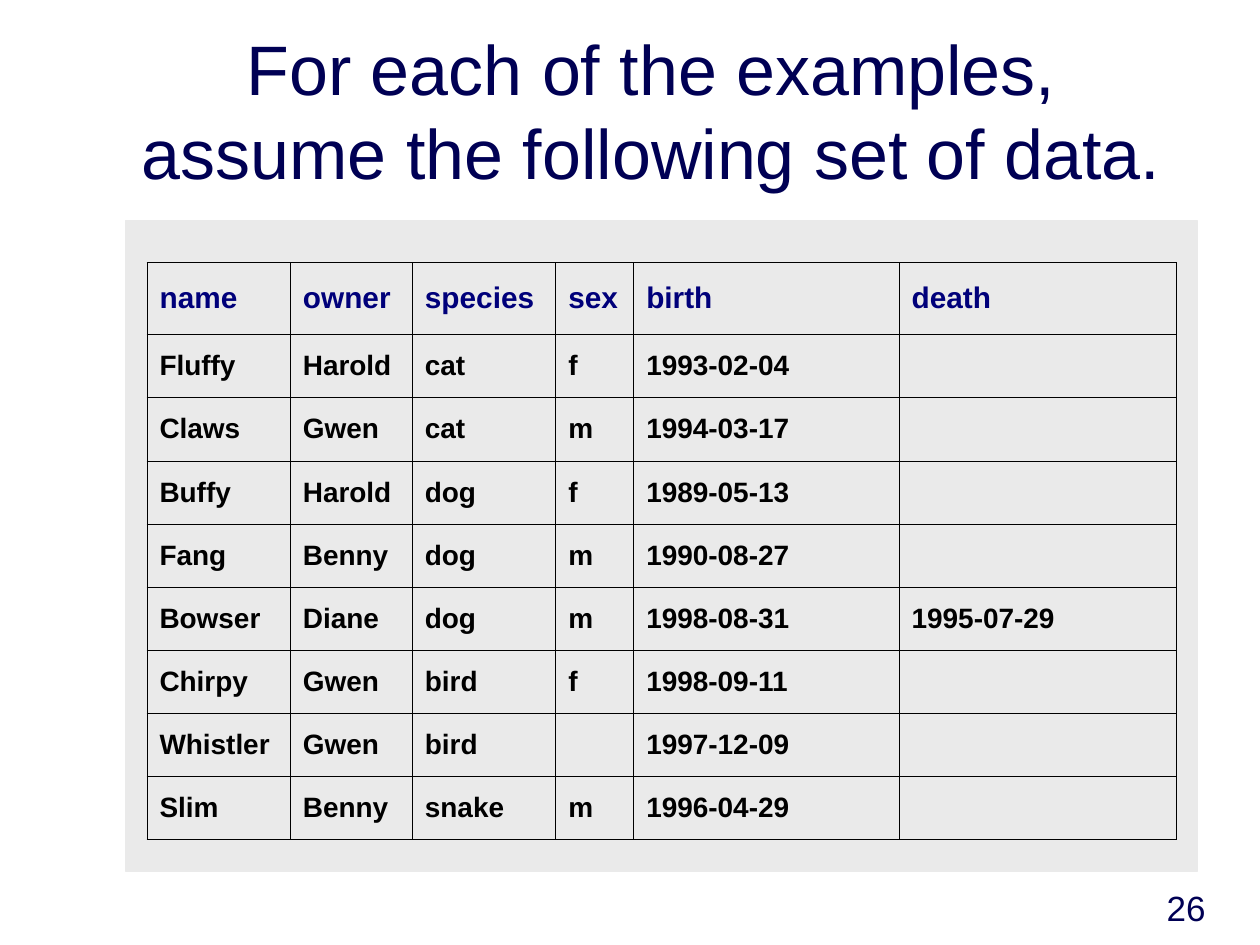
import pptx
import pptx.dml.color
import pptx.enum.shapes
import pptx.enum.text
import pptx.oxml
import pptx.oxml.ns
import pptx.util

NAVY = pptx.dml.color.RGBColor(0x00, 0x00, 0x54)
HEADER_BLUE = pptx.dml.color.RGBColor(0x00, 0x00, 0x7A)
BLACK = pptx.dml.color.RGBColor(0x00, 0x00, 0x00)
PANEL_GREY = pptx.dml.color.RGBColor(0xEA, 0xEA, 0xEA)

SLIDE_WIDTH = pptx.util.Inches(10)
SLIDE_HEIGHT = pptx.util.Inches(7.5)
GRID_COLUMNS, GRID_ROWS = 120, 90

TITLE = "For each of the examples, assume the following set of data."
PAGE_NUMBER = "26"
PETS = [
    ("name", "owner", "species", "sex", "birth", "death"),
    ("Fluffy", "Harold", "cat", "f", "1993-02-04", ""),
    ("Claws", "Gwen", "cat", "m", "1994-03-17", ""),
    ("Buffy", "Harold", "dog", "f", "1989-05-13", ""),
    ("Fang", "Benny", "dog", "m", "1990-08-27", ""),
    ("Bowser", "Diane", "dog", "m", "1998-08-31", "1995-07-29"),
    ("Chirpy", "Gwen", "bird", "f", "1998-09-11", ""),
    ("Whistler", "Gwen", "bird", "", "1997-12-09", ""),
    ("Slim", "Benny", "snake", "m", "1996-04-29", ""),
]
COLUMN_WEIGHTS = (1.14, 0.97, 1.14, 0.62, 2.11, 2.2)
ROW_WEIGHTS = (0.57,) + (0.5,) * (len(PETS) - 1)

TITLE_FORMAT = {"size": pptx.util.Pt(40), "name": "Arial"}
NUMBER_FORMAT = {"size": pptx.util.Pt(20), "name": "Arial"}
HEADER_FORMAT = {"size": pptx.util.Pt(17), "name": "Arial", "bold": True}
RECORD_FORMAT = {"size": pptx.util.Pt(16), "name": "Arial", "bold": True}


def grid_box(column, row, columns, rows):
    """Turn grid columns and rows into left, top, width and height."""
    across, down = SLIDE_WIDTH / GRID_COLUMNS, SLIDE_HEIGHT / GRID_ROWS
    return tuple(round(length) for length in (column * across, row * down, columns * across, rows * down))


def set_values(target, values):
    """Set each named value on the target."""
    for attribute, value in values.items():
        setattr(target, attribute, value)


def write(paragraph, words, font_values, color):
    """Add one formatted run to a paragraph."""
    run = paragraph.add_run()
    run.text = words
    set_values(run.font, font_values)
    run.font.color.rgb = color


def add_caption(slide, box, words, font_values, alignment):
    """Place bottom-anchored navy text in the box."""
    frame = slide.shapes.add_textbox(*box).text_frame
    set_values(frame, {"word_wrap": True, "vertical_anchor": pptx.enum.text.MSO_ANCHOR.BOTTOM})
    frame.paragraphs[0].alignment = alignment
    write(frame.paragraphs[0], words, font_values, NAVY)


def add_panel(slide, box):
    """Place the grey panel behind the table."""
    panel = slide.shapes.add_shape(pptx.enum.shapes.MSO_SHAPE.RECTANGLE, *box)
    panel.shadow.inherit = False
    panel.fill.solid()
    panel.fill.fore_color.rgb = PANEL_GREY
    panel.line.color.rgb = PANEL_GREY
    panel.line.width = pptx.util.Pt(0.75)


def add_borders(cell):
    """Draw a thin black line on every side of a cell."""
    properties = cell._tc.get_or_add_tcPr()
    for position, side in enumerate(("lnL", "lnR", "lnT", "lnB")):
        border = pptx.oxml.parse_xml(
            f'<a:{side} {pptx.oxml.ns.nsdecls("a")} w="{pptx.util.Pt(0.34)}">'
            f'<a:solidFill><a:srgbClr val="{BLACK}"/></a:solidFill></a:{side}>'
        )
        properties.insert(position, border)


def add_pet_table(slide, box):
    """Place the pet records so that they fill the box."""
    pets = slide.shapes.add_table(len(PETS), len(COLUMN_WEIGHTS), *box).table
    set_values(pets, {"first_row": False, "horz_banding": False})
    for column, weight in zip(pets.columns, COLUMN_WEIGHTS):
        column.width = round(box[2] * weight / sum(COLUMN_WEIGHTS))
    for row, weight in zip(pets.rows, ROW_WEIGHTS):
        row.height = round(box[3] * weight / sum(ROW_WEIGHTS))
    for row_index, record in enumerate(PETS):
        style = (RECORD_FORMAT, BLACK) if row_index else (HEADER_FORMAT, HEADER_BLUE)
        for column_index, entry in enumerate(record):
            cell = pets.cell(row_index, column_index)
            cell.vertical_anchor = pptx.enum.text.MSO_ANCHOR.MIDDLE
            cell.fill.background()
            add_borders(cell)
            if entry:
                write(cell.text_frame.paragraphs[0], entry, *style)


def build_slide(presentation):
    """Lay out the sample data slide."""
    slide = presentation.slides.add_slide(presentation.slide_layouts[6])
    align = pptx.enum.text.PP_ALIGN
    add_caption(slide, grid_box(91, 83, 25, 6), PAGE_NUMBER, NUMBER_FORMAT, align.RIGHT)
    add_caption(slide, grid_box(11, 2, 102, 17), TITLE, TITLE_FORMAT, align.CENTER)
    add_panel(slide, grid_box(12, 21, 102, 62))
    add_pet_table(slide, grid_box(14, 25, 98, 55))


def main():
    """Build and save the presentation."""
    presentation = pptx.Presentation()
    set_values(presentation, {"slide_width": SLIDE_WIDTH, "slide_height": SLIDE_HEIGHT})
    build_slide(presentation)
    presentation.save("out.pptx")


if __name__ == "__main__":
    main()
